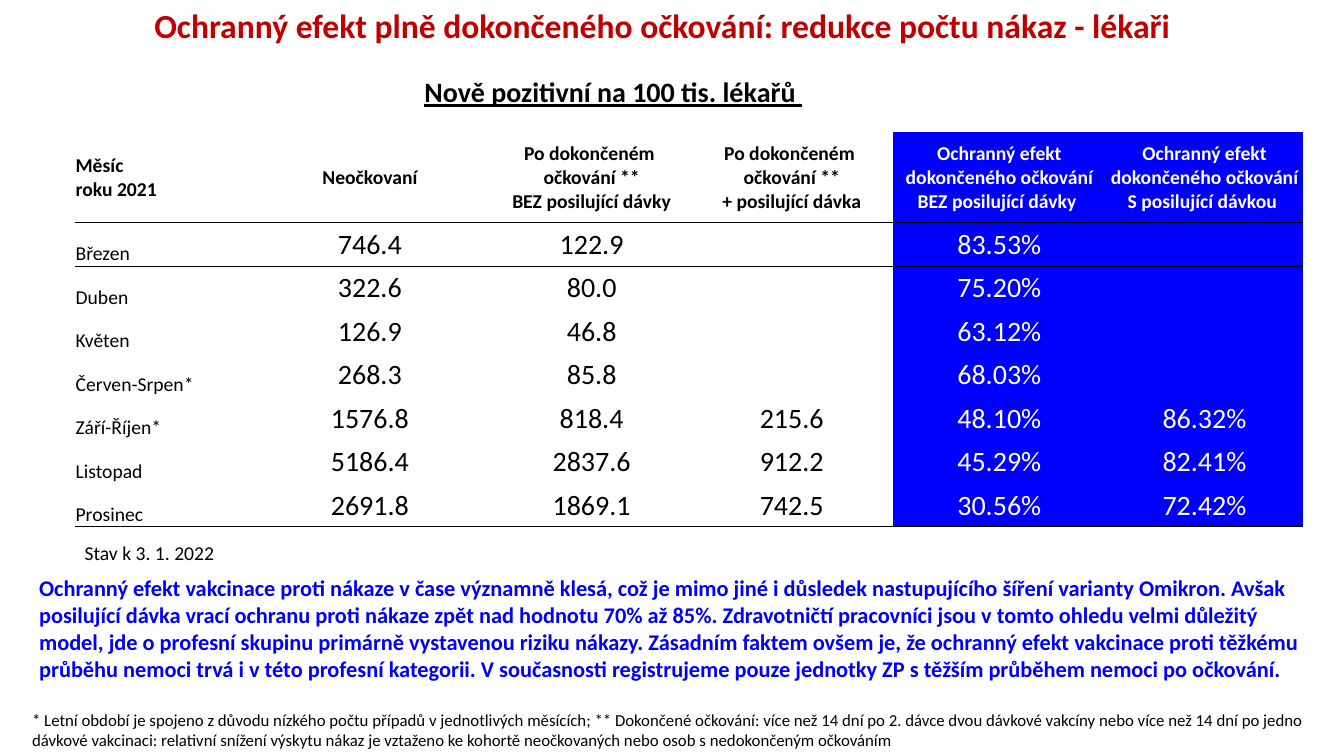
from dataclasses import dataclass

from lxml import etree
from pptx import Presentation
from pptx import util as u
from pptx.dml.color import RGBColor
from pptx.enum import text
from pptx.oxml import ns


@dataclass(frozen=True)
class Theme:
    font: str = "Calibri"
    black: str = "000000"
    white: str = "FFFFFF"
    red: str = "C00000"
    blue: str = "0000FF"
    title: int = 24
    subtitle: int = 20
    value: int = 20
    message: int = 16
    label: int = 14
    footnote: int = 12


THEME = Theme()
GRID_COLUMNS, GRID_ROWS = 133.33, 75
CELL = u.Inches(0.1)
NO_STYLE = "{2D5ABB26-0587-4C30-8999-92F81FD0307C}"
LEFT, CENTER = text.PP_ALIGN.LEFT, text.PP_ALIGN.CENTER

COLUMN_WIDTHS = (17.1, 24.4, 19.6, 20.1, 21.1, 19.6)
HEADING_ROW, HEADER_ROW, DATA_ROW = 4.3, 9, 4.31
FIRST_EFFECT_COLUMN = 4
HEADERS = (
    "Měsíc\nroku 2021",
    "Neočkovaní",
    "Po dokončeném \nočkování **\nBEZ posilující dávky",
    "Po dokončeném \nočkování **\n+ posilující dávka",
    "Ochranný efekt dokončeného očkování BEZ posilující dávky ",
    "Ochranný efekt dokončeného očkování S posilující dávkou ",
)
MONTHS = (
    ("Březen", "746.4", "122.9", "", "83.53%", ""),
    ("Duben", "322.6", "80.0", "", "75.20%", ""),
    ("Květen", "126.9", "46.8", "", "63.12%", ""),
    ("Červen-Srpen*", "268.3", "85.8", "", "68.03%", ""),
    ("Září-Říjen*", "1576.8", "818.4", "215.6", "48.10%", "86.32%"),
    ("Listopad", "5186.4", "2837.6", "912.2", "45.29%", "82.41%"),
    ("Prosinec", "2691.8", "1869.1", "742.5", "30.56%", "72.42%"),
)
MESSAGE = (
    "Ochranný efekt vakcinace proti nákaze v čase významně klesá, což je mimo jiné i důsledek "
    "nastupujícího šíření varianty Omikron. Avšak posilující dávka vrací ochranu proti nákaze "
    "zpět nad hodnotu 70% až 85%. Zdravotničtí pracovníci jsou v tomto ohledu velmi důležitý "
    "model, jde o profesní skupinu primárně vystavenou riziku nákazy. Zásadním faktem ovšem je, "
    "že ochranný efekt vakcinace proti těžkému průběhu nemoci trvá i v této profesní kategorii. "
    "V současnosti registrujeme pouze jednotky ZP s těžším průběhem nemoci po očkování."
)
FOOTNOTE = (
    "* Letní období je spojeno z důvodu nízkého počtu případů v jednotlivých měsících; "
    "** Dokončené očkování: více než 14 dní po 2. dávce dvou dávkové vakcíny nebo více než "
    "14 dní po jedno dávkové vakcinaci: relativní snížení výskytu nákaz je vztaženo ke kohortě "
    "neočkovaných nebo osob s nedokončeným očkováním"
)


def grid(*counts):
    return [round(count * CELL) for count in counts]


def write(text_frame, words, size, color, bold=False, align=LEFT, underline=None):
    text_frame.text = words
    for paragraph in text_frame.paragraphs:
        paragraph.alignment = align
        for run in paragraph.runs:
            run.font.name = THEME.font
            run.font.size = u.Pt(size)
            run.font.bold = bold
            run.font.underline = underline
            run.font.color.rgb = RGBColor.from_string(color)


def add_text(slide, place, words, size, color, grow=True, **style):
    text_frame = slide.shapes.add_textbox(*grid(*place)).text_frame
    text_frame.word_wrap = True
    if grow:
        text_frame.auto_size = text.MSO_AUTO_SIZE.SHAPE_TO_FIT_TEXT
    write(text_frame, words, size, color, **style)
    return text_frame


def add_rule(cell, side):
    properties = cell._tc.get_or_add_tcPr()
    line = etree.Element(ns.qn(f"a:{side}"), w=str(u.Pt(1)))
    fill = etree.SubElement(line, ns.qn("a:solidFill"))
    etree.SubElement(fill, ns.qn("a:srgbClr"), val=THEME.black)
    properties.insert(0, line)


def fill_cell(cell, words, column, header):
    cell.margin_left = cell.margin_top = cell.margin_right = u.Inches(0.01)
    cell.margin_bottom = 0
    is_effect = column >= FIRST_EFFECT_COLUMN
    is_month = column == 0 and not header
    cell.vertical_anchor = text.MSO_ANCHOR.BOTTOM if is_month else text.MSO_ANCHOR.MIDDLE
    if is_effect:
        cell.fill.solid()
        cell.fill.fore_color.rgb = RGBColor.from_string(THEME.blue)
    else:
        cell.fill.background()
    if words:
        write(
            cell.text_frame,
            words,
            THEME.label if header or is_month else THEME.value,
            THEME.white if is_effect else THEME.black,
            bold=header,
            align=LEFT if column == 0 else CENTER,
        )


def add_month_table(slide):
    heights = (HEADING_ROW, HEADER_ROW) + (DATA_ROW,) * len(MONTHS)
    place = grid(7.4, 8.8, sum(COLUMN_WIDTHS), sum(heights))
    table = slide.shapes.add_table(len(heights), len(COLUMN_WIDTHS), *place).table
    table.first_row = table.horz_banding = False
    table._tbl.tblPr.find(ns.qn("a:tableStyleId")).text = NO_STYLE
    for column, width in zip(table.columns, grid(*COLUMN_WIDTHS)):
        column.width = width
    for row, height in zip(table.rows, grid(*heights)):
        row.height = height

    for cell in table.rows[0].cells:
        cell.fill.background()
    table.cell(0, 2).merge(table.cell(0, len(COLUMN_WIDTHS) - 1))

    rules = {1: "lnB", 2: "lnT", len(MONTHS) + 1: "lnB"}
    for row, words_in_row in enumerate((HEADERS, *MONTHS), start=1):
        for column, words in enumerate(words_in_row):
            cell = table.cell(row, column)
            fill_cell(cell, words, column, header=row == 1)
            if row in rules:
                add_rule(cell, rules[row])


def main():
    presentation = Presentation()
    presentation.slide_width, presentation.slide_height = grid(GRID_COLUMNS, GRID_ROWS)
    slide = presentation.slides.add_slide(presentation.slide_layouts[6])

    add_month_table(slide)
    title = add_text(
        slide, (2.2, 0.4, 127, 14.5),
        "Ochranný efekt plně dokončeného očkování: redukce počtu nákaz - lékaři",
        THEME.title, THEME.red, grow=False, bold=True, align=CENTER,
    )
    title.paragraphs[0].line_spacing = 0.9
    add_text(
        slide, (38.7, 6.9, 44.3, 4.4), "Nově pozitivní na 100 tis. lékařů ",
        THEME.subtitle, THEME.black, bold=True, align=CENTER, underline=True,
    )
    add_text(slide, (2.2, 69.9, 129.9, 5), FOOTNOTE, THEME.footnote, THEME.black)
    add_text(slide, (7.4, 53.2, 22.1, 3.4), "Stav k 3. 1. 2022", THEME.label, THEME.black)
    add_text(slide, (2.9, 56.5, 128.7, 11.8), MESSAGE, THEME.message, THEME.blue, bold=True)

    presentation.save("out.pptx")


if __name__ == "__main__":
    main()
